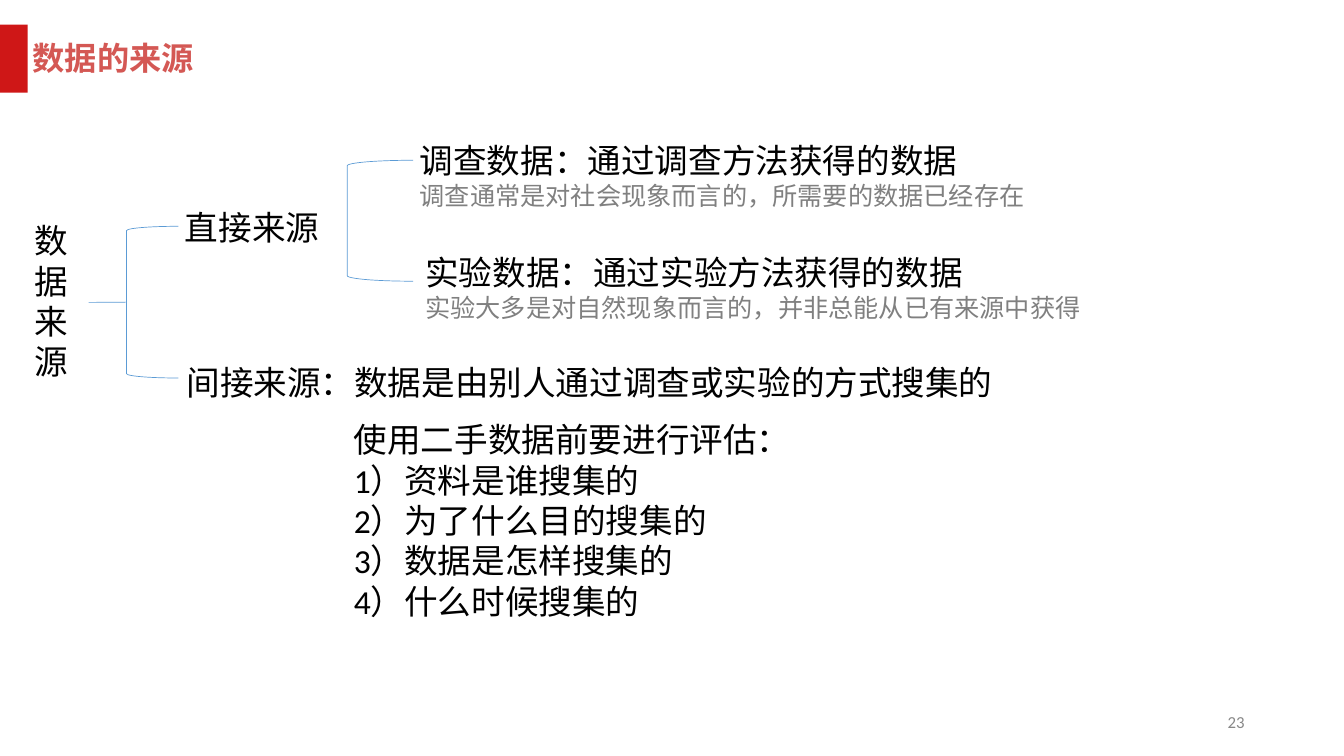
from lxml.etree import SubElement
from pptx import Presentation
from pptx.dml.color import RGBColor
from pptx.enum.shapes import MSO_CONNECTOR, MSO_SHAPE
from pptx.enum.text import MSO_ANCHOR, MSO_AUTO_SIZE, PP_ALIGN
from pptx.oxml.ns import qn
from pptx.util import Inches, Pt

CHINESE_FONT = "Noto Sans CJK SC"
LATIN_FONT = "Calibri"
BLACK, GRAY, BLUE = "000000", "808080", "5B9BD5"


def color(hex_string):
    return RGBColor.from_string(hex_string)


def style_paragraph(paragraph, size, hex_color, latin, bold):
    paragraph.line_spacing = Pt(size * 1.2)
    font = paragraph.font
    font.size = Pt(size)
    font.bold = bold
    font.color.rgb = color(hex_color)
    font.name = latin
    defaults = paragraph._p.pPr.find(qn("a:defRPr"))
    SubElement(defaults, qn("a:ea"), typeface=CHINESE_FONT)


def add_text(slide, left, top, width, height, lines, inset=0.13, wrap=False,
             bold=False, align=PP_ALIGN.LEFT, anchor=MSO_ANCHOR.TOP):
    """Each line is (text, size, color) with an optional Latin font."""
    box = slide.shapes.add_textbox(Inches(left), Inches(top), Inches(width), Inches(height))
    frame = box.text_frame
    frame.word_wrap = wrap
    frame.auto_size = MSO_AUTO_SIZE.SHAPE_TO_FIT_TEXT
    frame.vertical_anchor = anchor
    frame.margin_left = frame.margin_right = frame.margin_bottom = Inches(inset)
    frame.margin_top = Inches(inset + 0.05)
    for index, (text, size, hex_color, *latin) in enumerate(lines):
        paragraph = frame.add_paragraph() if index else frame.paragraphs[0]
        paragraph.text = text
        paragraph.alignment = align
        style_paragraph(paragraph, size, hex_color, latin[0] if latin else CHINESE_FONT, bold)


def add_bracket(slide, left, top, width, height):
    bracket = slide.shapes.add_shape(
        MSO_SHAPE.LEFT_BRACKET, Inches(left), Inches(top), Inches(width), Inches(height))
    bracket.shadow.inherit = False
    bracket.fill.background()
    bracket.line.color.rgb = color(BLUE)
    bracket.line.width = Pt(1)
    return bracket


def add_stem(slide, left, y, bracket):
    """Line from the root label to the middle of the bracket."""
    stem = slide.shapes.add_connector(
        MSO_CONNECTOR.STRAIGHT, Inches(left), Inches(y), bracket.left, Inches(y))
    stem.end_connect(bracket, 1)
    stem.line.color.rgb = color(BLUE)
    stem.line.width = Pt(1)
    SubElement(stem._element.spPr, qn("a:effectLst"))


def add_title(slide, title):
    add_text(slide, 0.55, 0.62, 15.01, 1.1, [(title, 46, "D45854")],
             inset=0.1, wrap=True, bold=True)
    marker = slide.shapes.add_shape(
        MSO_SHAPE.RECTANGLE, 0, Inches(0.49), Inches(0.55), Inches(1.35))
    marker.shadow.inherit = False
    marker.fill.solid()
    marker.fill.fore_color.rgb = color("CF1717")
    marker.line.fill.background()


def add_source_tree(slide):
    root_bracket = add_bracket(slide, 2.51, 4.49, 1.03, 3.01)
    add_stem(slide, 1.76, 6, root_bracket)
    add_bracket(slide, 6.89, 3.18, 1.31, 2.4)
    add_text(slide, 0.55, 4.19, 1.13, 3.99, [(character, 48, BLACK) for character in "数据来源"])
    add_text(slide, 3.54, 3.92, 2.95, 1.2, [("直接来源", 48, BLACK)])
    add_text(slide, 3.57, 7, 22.13, 1.2,
             [("间接来源：数据是由别人通过调查或实验的方式搜集的", 48, BLACK)], wrap=True)
    direct_sources = [
        (8.2, 2.59, 12.28, "调查数据：通过调查方法获得的数据",
         "调查通常是对社会现象而言的，所需要的数据已经存在"),
        (8.31, 4.81, 13.28, "实验数据：通过实验方法获得的数据",
         "实验大多是对自然现象而言的，并非总能从已有来源中获得"),
    ]
    for left, top, width, heading, note in direct_sources:
        add_text(slide, left, top, width, 1.89, [(heading, 48, BLACK), (note, 36, GRAY)])


def add_evaluation_list(slide):
    questions = ["资料是谁搜集的", "为了什么目的搜集的", "数据是怎样搜集的", "什么时候搜集的"]
    lines = [("使用二手数据前要进行评估：", 48, BLACK)]
    lines += [(f"{number}）{question}", 48, BLACK, LATIN_FONT)
              for number, question in enumerate(questions, start=1)]
    add_text(slide, 6.89, 8.14, 17.61, 4.92, lines, wrap=True)


def main():
    presentation = Presentation()
    presentation.slide_width = Inches(26.67)
    presentation.slide_height = Inches(15)
    slide = presentation.slides.add_slide(presentation.slide_layouts[6])
    add_title(slide, "数据的来源")
    add_source_tree(slide)
    add_evaluation_list(slide)
    add_text(slide, 24.21, 13.97, 0.62, 0.67, [("23", 24, "888888", LATIN_FONT)],
             align=PP_ALIGN.RIGHT, anchor=MSO_ANCHOR.MIDDLE)
    presentation.save("out.pptx")


if __name__ == "__main__":
    main()
